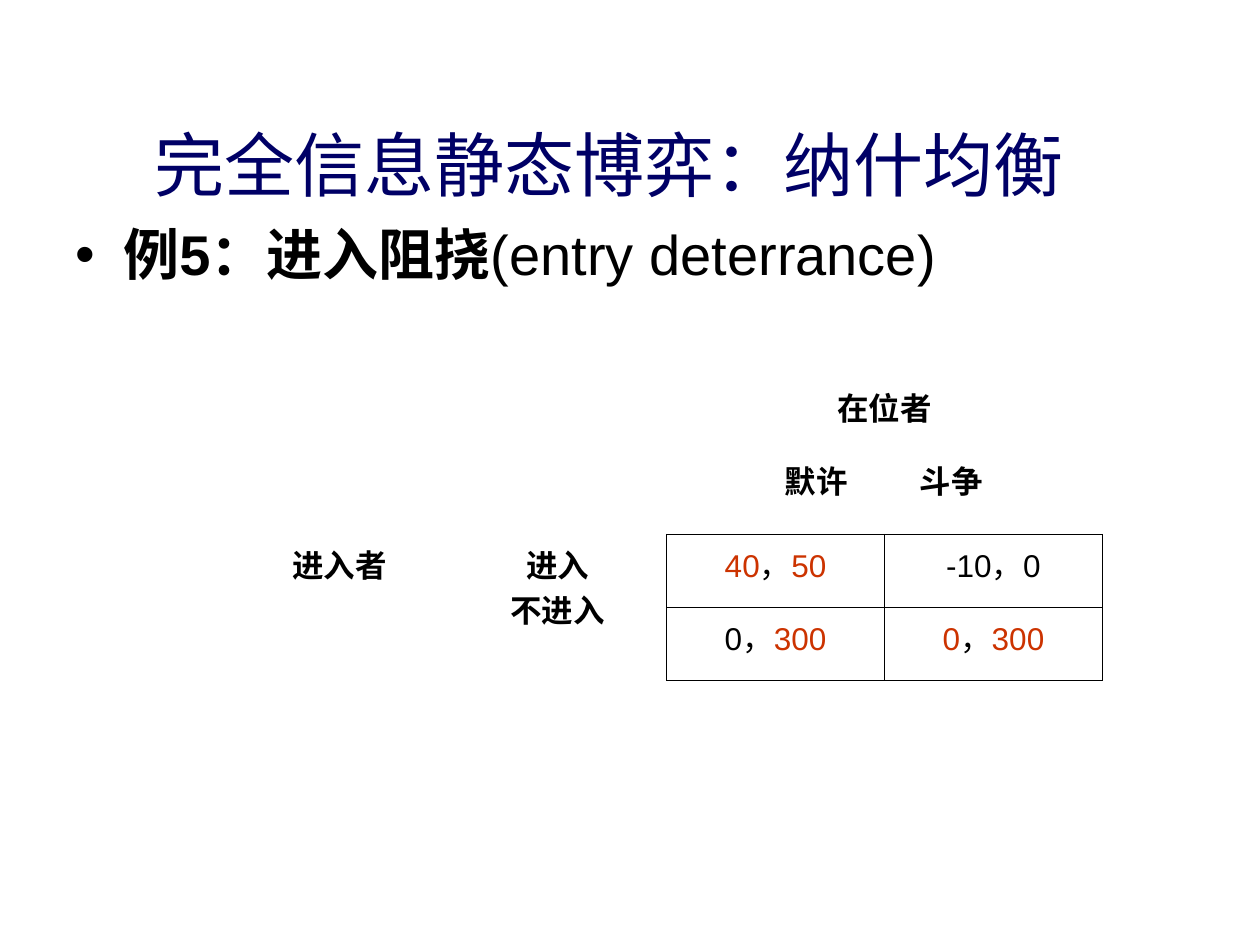
from lxml.etree import SubElement
from pptx import Presentation
from pptx.dml.color import RGBColor
from pptx.enum.text import MSO_ANCHOR, PP_ALIGN
from pptx.oxml import parse_xml
from pptx.oxml.ns import nsdecls, qn
from pptx.util import Inches, Pt

THEME = {
    "font": "Arial",
    "ink": RGBColor.from_string("000000"),
    "title": RGBColor.from_string("000066"),
    "payoff": RGBColor.from_string("CC3300"),
    "title_size": Pt(40), "body_size": Pt(32), "table_size": Pt(18),
    "border": Pt(0.45),
    "plain_table": "{2D5ABB26-0587-4C30-8999-92F81FD0307C}",
}

prs = Presentation()
prs.slide_width, prs.slide_height = Inches(10), Inches(7.5)
W, H = prs.slide_width, prs.slide_height
s = prs.slides.add_slide(prs.slide_layouts[6])


def add_runs(p, runs, size):
    """Add (text, colour key, bold) runs to a paragraph."""
    for text, color, bold in runs:
        r = p.add_run()
        r.text = text
        for name, value in {"name": THEME["font"], "size": size, "bold": bold}.items():
            setattr(r.font, name, value)
        r.font.color.rgb = THEME[color]


def add_text(left, top, width, height, runs, size, **frame):
    """Place a one-paragraph text box and return its paragraph."""
    sp = s.shapes.add_textbox(round(left), round(top), round(width), round(height))
    tf = sp.text_frame
    for name, value in {"word_wrap": True, **frame}.items():
        setattr(tf, name, value)
    add_runs(tf.paragraphs[0], runs, size)
    return tf.paragraphs[0]


# Heading and example line
p = add_text(W * 0.05, Inches(1.75), W * 0.9, Inches(0.64),
             [("例5：进入阻挠", "ink", True), ("(entry deterrance)", "ink", False)],
             THEME["body_size"])
p.line_spacing = 0.9
pPr = p._p.get_or_add_pPr()
pPr.set("marL", str(Inches(0.38)))
pPr.set("indent", str(-Inches(0.38)))
SubElement(pPr, qn("a:buFont")).set("typeface", THEME["font"])
SubElement(pPr, qn("a:buChar")).set("char", "•")

p = add_text(Inches(0.42), Inches(0.67), Inches(8.83), H / 6,
             [("完全信息静态博弈：纳什均衡", "title", False)],
             THEME["title_size"], vertical_anchor=MSO_ANCHOR.MIDDLE)
p.alignment = PP_ALIGN.CENTER

# Payoff matrix: four equal columns
row_heights = [0.58, 0.66, 0.58, 0.58]
col_width = Inches(1.73)
table = s.shapes.add_table(4, 4, Inches(1.83), Inches(3), col_width * 4,
                           Inches(sum(row_heights))).table
table.first_row = table.horz_banding = False
table._tbl.tblPr.find(qn("a:tableStyleId")).text = THEME["plain_table"]
for col in table.columns:
    col.width = col_width
for row, height in zip(table.rows, row_heights):
    row.height = Inches(height)
for start, end in [((0, 0), (1, 1)), ((0, 2), (0, 3)), ((1, 2), (1, 3)),
                   ((2, 0), (3, 0)), ((2, 1), (3, 1))]:
    table.cell(*start).merge(table.cell(*end))

cells = {
    (0, 2): [[("在位者", "ink", True)]],
    (1, 2): [[("\t默许\t斗争", "ink", True)]],
    (2, 0): [[("进入者", "ink", True)]],
    (2, 1): [[("进入", "ink", True)], [("不进入", "ink", True)]],
    (2, 2): [[("40", "payoff", False), ("，", "ink", False), ("50", "payoff", False)]],
    (2, 3): [[("-10，0", "ink", False)]],
    (3, 2): [[("0，", "ink", False), ("300", "payoff", False)]],
    (3, 3): [[("0", "payoff", False), ("，", "ink", False), ("300", "payoff", False)]],
}
for (row, col), paragraphs in cells.items():
    cell = table.cell(row, col)
    tf = cell.text_frame
    for i, runs in enumerate(paragraphs):
        p = tf.paragraphs[0] if i == 0 else tf.add_paragraph()
        p.alignment = PP_ALIGN.CENTER
        add_runs(p, runs, THEME["table_size"])
    if row >= 2 and col >= 2:
        tcPr = cell._tc.get_or_add_tcPr()
        for side in "LRTB":
            tcPr.append(parse_xml(
                f'<a:ln{side} {nsdecls("a")} w="{THEME["border"]}"><a:solidFill>'
                f'<a:srgbClr val="{THEME["ink"]}"/></a:solidFill></a:ln{side}>'))

# Tab stops set the two strategy names apart
p = table.cell(1, 2).text_frame.paragraphs[0]
p.alignment = PP_ALIGN.LEFT
tabs = SubElement(p._p.get_or_add_pPr(), qn("a:tabLst"))
for stop in (0.84, 1.91):
    tab = SubElement(tabs, qn("a:tab"))
    tab.set("pos", str(Inches(stop)))
    tab.set("algn", "l")

for row in table.rows:
    for cell in row.cells:
        cell.fill.background()

prs.save("out.pptx")
